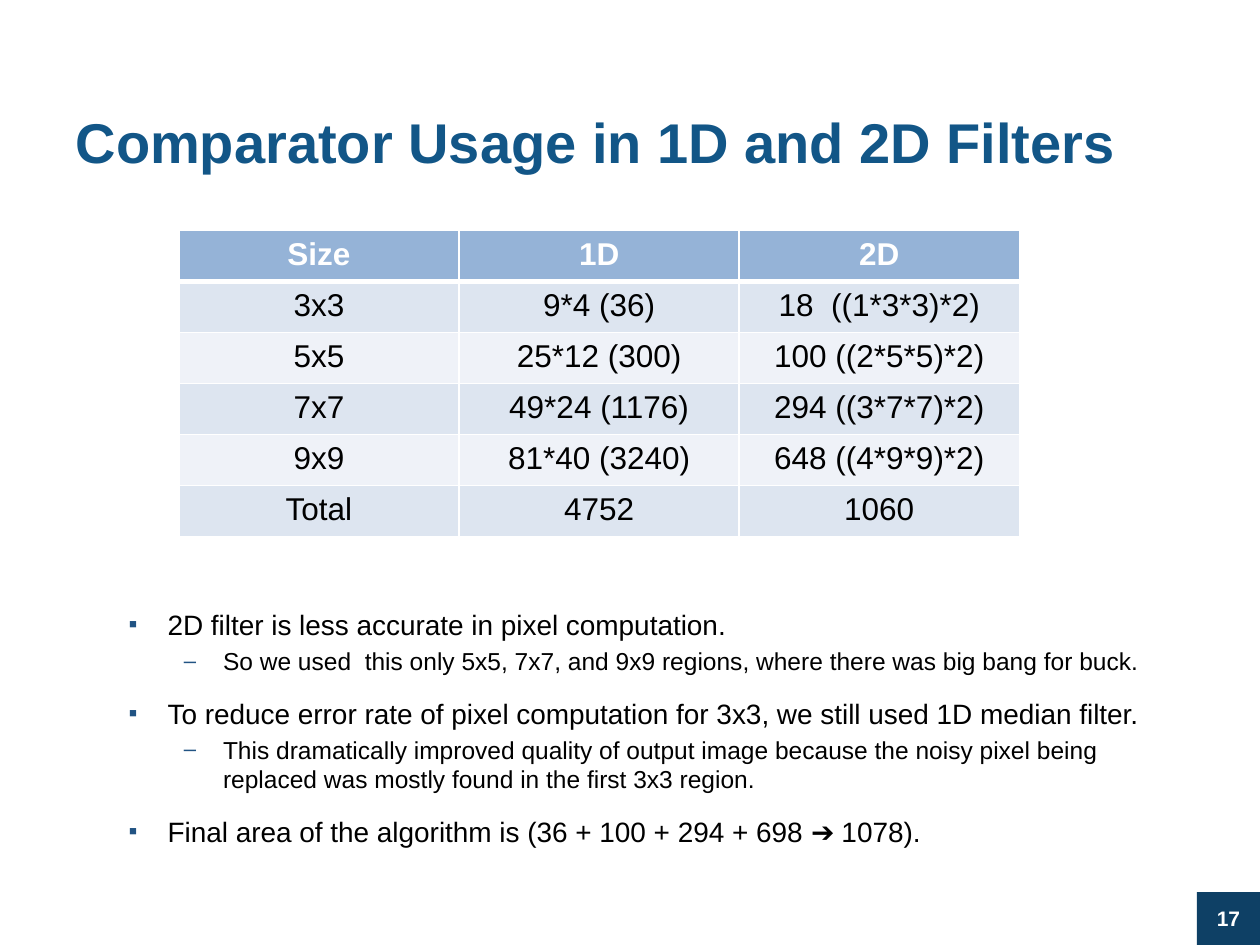
from lxml import etree
from pptx import Presentation
from pptx import util as u
from pptx.dml.color import RGBColor
from pptx.enum import shapes, text
from pptx.oxml.ns import qn

WHITE = RGBColor(0xFF, 0xFF, 0xFF)
BLACK = RGBColor(0, 0, 0)
TITLE_BLUE = RGBColor(0x12, 0x56, 0x87)
BADGE_BLUE = RGBColor(0x0E, 0x40, 0x65)
BULLET_BLUE = RGBColor(0x21, 0x53, 0x83)
HEADER_FILL = RGBColor(0x95, 0xB3, 0xD7)
BAND_FILLS = (RGBColor(0xDD, 0xE5, 0xF0), RGBColor(0xEF, 0xF2, 0xF8))
FONT = "Arial"

# Boxes: left, top, width, height in inches
TITLE_BOX = (0.5, 0.8, 8.83, 1.25)
TABLE_BOX = (1.42, 1.83, 6.67, 2.43)
FINDINGS_BOX = (0.92, 4.47, 8.42, 2.36)
BADGE_BOX = (9.5, 7.08, 0.5, 0.42)

USAGE = [
    ("Size", "1D", "2D"),
    ("3x3", "9*4 (36)", "18  ((1*3*3)*2)"),
    ("5x5", "25*12 (300)", "100 ((2*5*5)*2)"),
    ("7x7", "49*24 (1176)", "294 ((3*7*7)*2)"),
    ("9x9", "81*40 (3240)", "648 ((4*9*9)*2)"),
    ("Total", "4752", "1060"),
]
# Level, space before in points, wording
FINDINGS = [
    (0, 3.2, "2D filter is less accurate in pixel computation."),
    (1, 2.8, "So we used  this only 5x5, 7x7, and 9x9 regions, "
             "where there was big bang for buck."),
    (0, 12, "To reduce error rate of pixel computation for 3x3, "
            "we still used 1D median filter."),
    (1, 2.8, "This dramatically improved quality of output image because the "
             "noisy pixel being replaced was mostly found in the first 3x3 region."),
    (0, 12, "Final area of the algorithm is (36 + 100 + 294 + 698 \u2794 1078)."),
]
# Per level: size, left indent, bullet
LEVELS = [(16, 0.31, "\u25aa"), (14, 0.75, "\u2013")]


def inches(box):
    return [u.Inches(value) for value in box]


def place(part, box):
    part.left, part.top, part.width, part.height = inches(box)


def add_run(paragraph, wording, size, color, bold=False):
    run = paragraph.add_run()
    run.text = wording
    run.font.name, run.font.size, run.font.bold = FONT, u.Pt(size), bold
    run.font.color.rgb = color


def add_child(parent, tag, **attributes):
    return etree.SubElement(parent, qn(tag), attributes)


def add_title(slide, box):
    title = slide.shapes.title
    place(title, box)
    frame = title.text_frame
    frame.auto_size = text.MSO_AUTO_SIZE.NONE
    frame.vertical_anchor = text.MSO_ANCHOR.TOP
    heading = frame.paragraphs[0]
    heading.alignment = text.PP_ALIGN.LEFT
    add_run(heading, "Comparator Usage in 1D and 2D Filters", 32, TITLE_BLUE, True)


def set_borders(cell, widths):
    properties = cell._tc.get_or_add_tcPr()
    for index, (side, width) in enumerate(widths.items()):
        line = etree.Element(qn("a:ln" + side), w=str(u.Pt(width)))
        fill = add_child(line, "a:solidFill")
        add_child(fill, "a:srgbClr", val=str(WHITE))
        properties.insert(index, line)


def add_usage_table(slide, box):
    rows, columns = len(USAGE), len(USAGE[0])
    table = slide.shapes.add_table(rows, columns, *inches(box)).table
    for column in table.columns:
        column.width = u.Inches(box[2] / columns)
    for r, values in enumerate(USAGE):
        table.rows[r].height = u.Inches(box[3] / rows)
        header = r == 0
        for c, value in enumerate(values):
            cell = table.cell(r, c)
            cell.fill.solid()
            cell.fill.fore_color.rgb = HEADER_FILL if header else BAND_FILLS[(r - 1) % 2]
            set_borders(cell, {"L": 1, "R": 1, "T": 3 if r == 1 else 1,
                               "B": 3 if header else 1})
            entry = cell.text_frame.paragraphs[0]
            entry.alignment = text.PP_ALIGN.CENTER
            add_run(entry, value, 18, WHITE if header else BLACK, header)


def add_findings(slide, box):
    body = slide.placeholders[1]
    place(body, box)
    frame = body.text_frame
    frame.auto_size = text.MSO_AUTO_SIZE.NONE
    frame.margin_top = u.Inches(0.35)
    for index, (level, gap, wording) in enumerate(FINDINGS):
        size, indent, bullet = LEVELS[level]
        finding = frame.add_paragraph() if index else frame.paragraphs[0]
        finding.level = level
        finding.space_before = u.Pt(gap)
        properties = finding._p.get_or_add_pPr()
        properties.set("marL", str(u.Inches(indent)))
        properties.set("indent", str(u.Inches(-0.31)))
        color = add_child(properties, "a:buClr")
        add_child(color, "a:srgbClr", val=str(BULLET_BLUE))
        add_child(properties, "a:buSzPct", val="90000")
        add_child(properties, "a:buFont", typeface=FONT)
        add_child(properties, "a:buChar", char=bullet)
        add_run(finding, wording, size, BLACK)


def add_page_badge(slide, box):
    badge = slide.shapes.add_shape(shapes.MSO_SHAPE.RECTANGLE, *inches(box))
    badge.shadow.inherit = False
    badge.fill.solid()
    badge.fill.fore_color.rgb = BADGE_BLUE
    badge.line.fill.background()
    badge.text_frame.vertical_anchor = text.MSO_ANCHOR.MIDDLE
    number = badge.text_frame.paragraphs[0]
    number.alignment = text.PP_ALIGN.CENTER
    add_run(number, "17", 12, WHITE, True)


deck = Presentation()
deck.slide_width, deck.slide_height = u.Inches(10), u.Inches(7.5)
slide = deck.slides.add_slide(deck.slide_layouts[1])
add_page_badge(slide, BADGE_BOX)
add_title(slide, TITLE_BOX)
add_findings(slide, FINDINGS_BOX)
add_usage_table(slide, TABLE_BOX)
deck.save("out.pptx")
